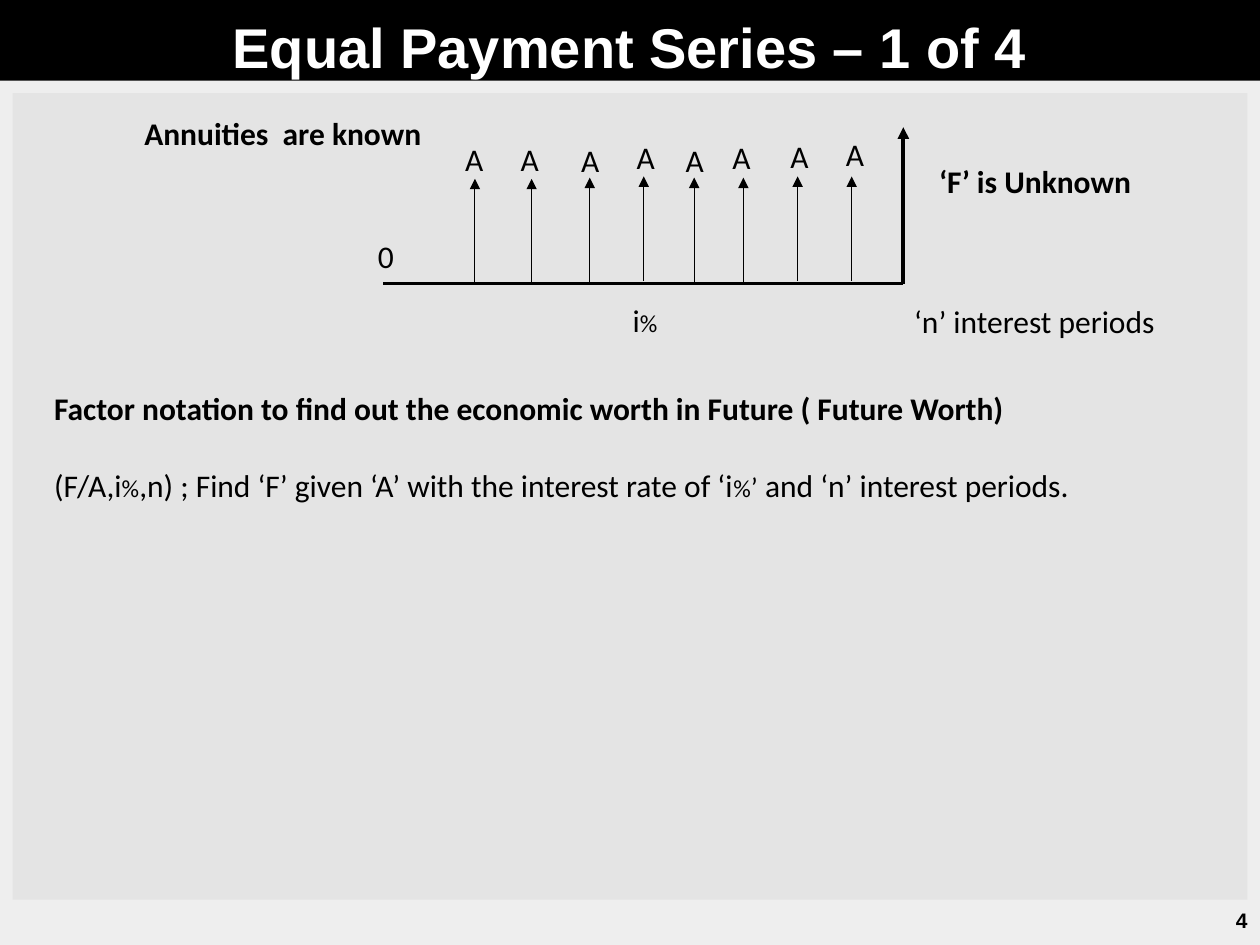
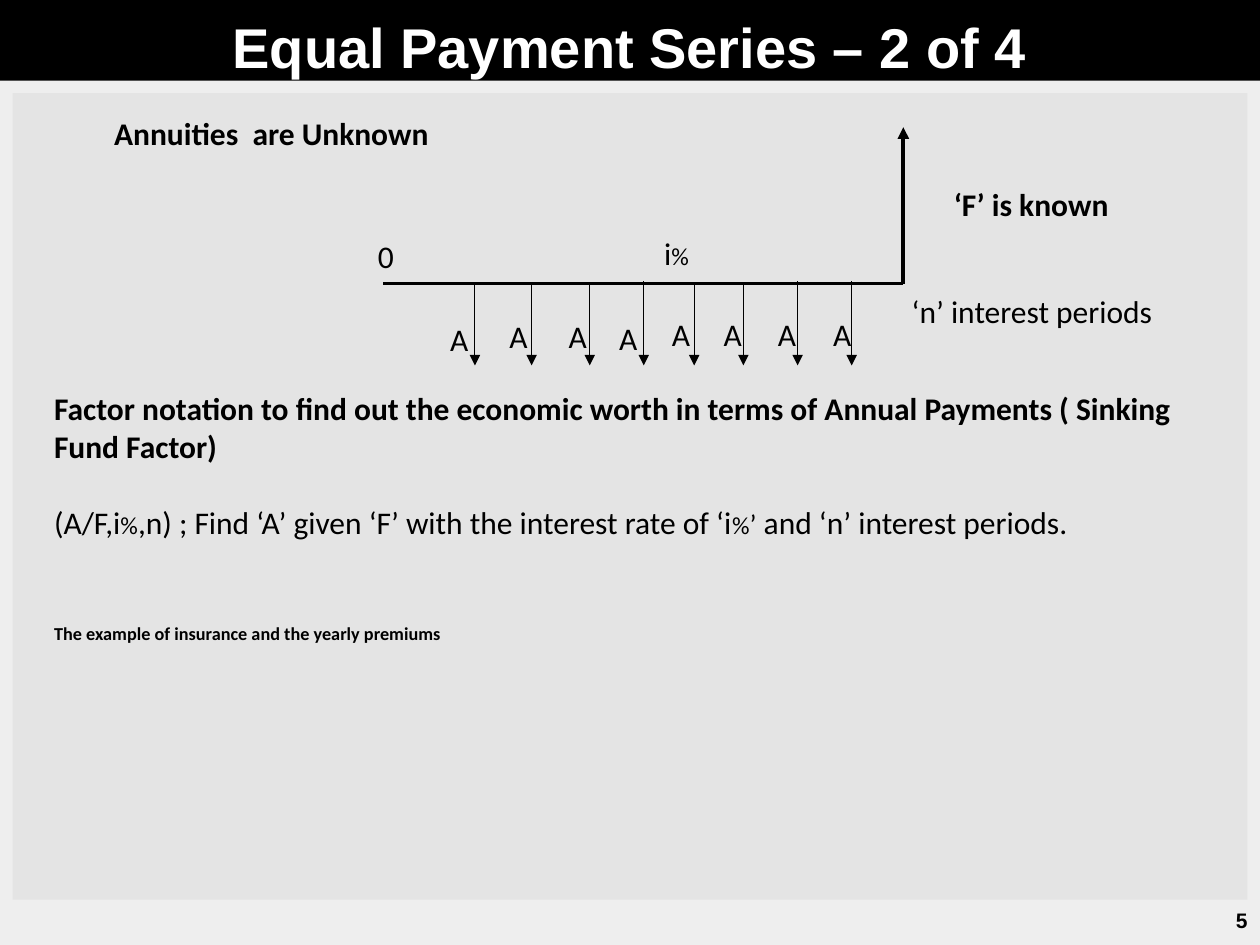
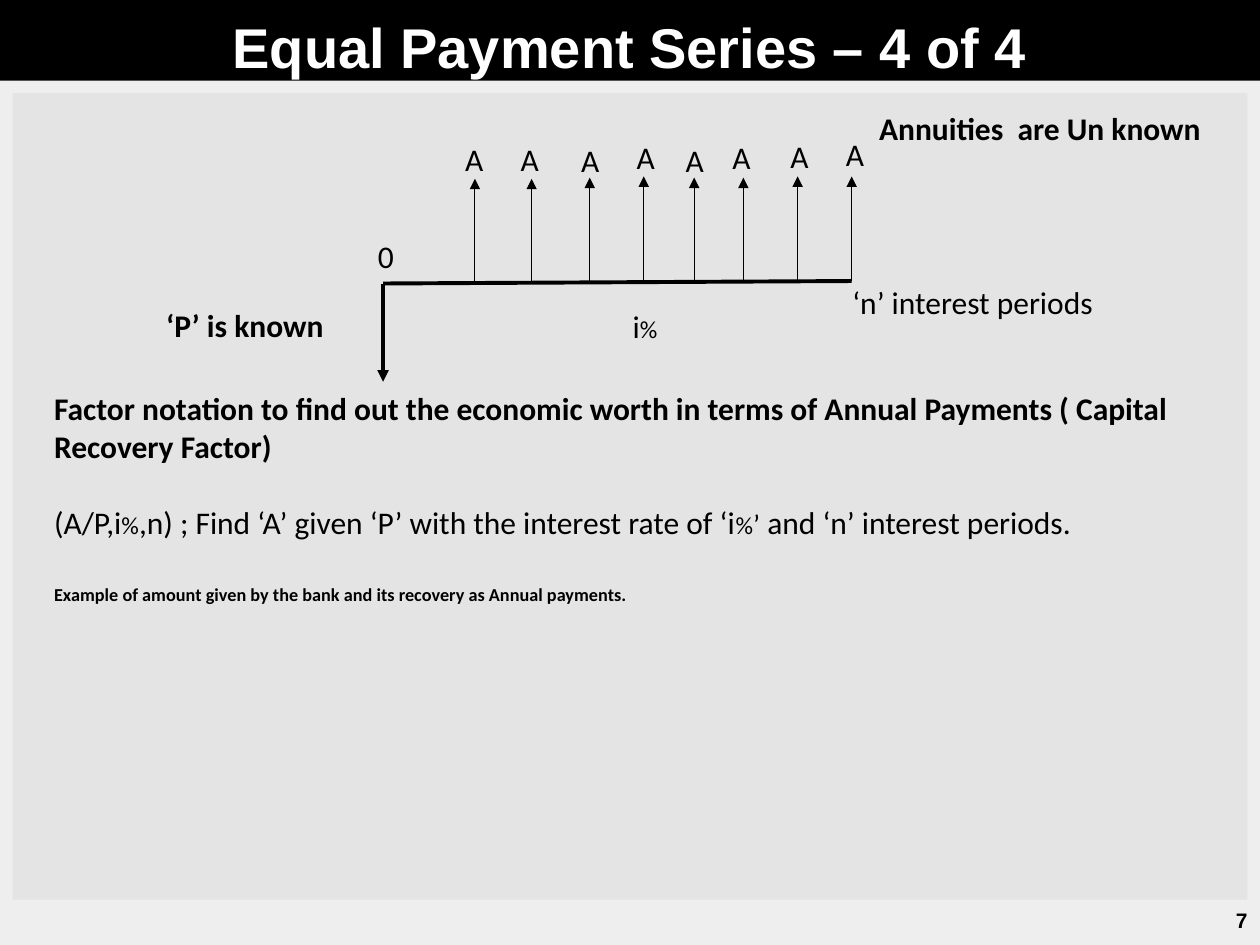
from lxml import etree
from pptx import Presentation
from pptx.dml.color import RGBColor
from pptx.enum.shapes import MSO_CONNECTOR, MSO_SHAPE
from pptx.enum.text import MSO_ANCHOR, MSO_AUTO_SIZE, PP_ALIGN
from pptx.oxml.ns import qn
from pptx.util import Pt

LEFT, CENTER, RIGHT = PP_ALIGN.LEFT, PP_ALIGN.CENTER, PP_ALIGN.RIGHT
TOP, MIDDLE = MSO_ANCHOR.TOP, MSO_ANCHOR.MIDDLE
GROW = MSO_AUTO_SIZE.SHAPE_TO_FIT_TEXT
RECT, STRAIGHT = MSO_SHAPE.RECTANGLE, MSO_CONNECTOR.STRAIGHT

COLORS = {"ink": "000000", "title": "FFFFFF", "band": "000000",
          "panel": "E4E4E4", "bg_left": "EEEEEE", "bg_right": "F0F0F0"}
BASE = {"name": "Calibri", "size": 18, "bold": False, "color": "ink"}
TITLE = {"name": "Arial", "size": 32, "bold": True, "color": "title"}
PAGE = {"name": "Arial", "size": 12, "bold": True}
BOLD = {"bold": True}
SMALL = {"size": 14}
RAISED = {"bold": True, "baseline": 30000}
RATE = [("i", {}), ("%", SMALL)]

LINE_GAP = 22
LABEL_H = 28.8
LABEL_W = 42.5
AXIS_X, AXIS_Y, AXIS_END = 218.9, 162, 516.2
RISE, DOWN_TIP = 59.8, 208.8
TICKS = [(271.4, 162), (303.8, 162), (337, 161.3), (367.9, 160.6),
         (396.7, 161.3), (424.8, 161.3), (455.8, 160.6), (486.7, 160.6)]
LABELS_UP = [(249.8, 76.3), (281.5, 76.3), (316.1, 77), (347.8, 75.6),
             (375.8, 77), (402.5, 75.6), (435.6, 74.9), (467.3, 73.4)]
LABELS_DOWN = [(241.2, 179.3), (275, 177.8), (308.9, 177.8), (337.7, 178.6),
               (367.9, 176.4), (397.4, 176.4), (428.4, 176.4), (460.1, 176.4)]

SERIES = [
    {"number": 1, "page": "4", "up": True, "future": True,
     "captions": [("‘F’ is Unknown", 529.2, 89.3, 124.6),
                  ("Annuities  are known", 67, 61.9, 189.4)],
     "rate": (308.9, 168.5), "periods": (504, 169.2),
     "heading": "Factor notation to find out the economic worth in Future "
                "( Future Worth)",
     "find": "F", "given": "A", "example": None, "height": 72.7},
    {"number": 2, "page": "5", "up": False, "future": True,
     "captions": [("‘F’ is known", 527, 102.2, 124.6),
                  ("Annuities  are Unknown", 54, 61.9, 202.3)],
     "rate": (326.9, 130.3), "periods": (502.6, 163.4),
     "heading": "Factor notation to find out the economic worth in terms of "
                "Annual Payments ( Sinking Fund Factor)",
     "find": "A", "given": "F", "height": 145.4,
     "example": (2 * LINE_GAP,
                 "The example of insurance and the yearly premiums")},
    {"number": 4, "page": "7", "up": True, "future": False,
     "captions": [("‘P’ is known", 69.1, 171.4, 141.8),
                  ("Annuities  are Un known", 489.6, 59, 209.5)],
     "rate": (308.9, 172.1), "periods": (468.7, 158.4),
     "heading": "Factor notation to find out the economic worth in terms of "
                "Annual Payments ( Capital Recovery Factor)",
     "find": "A", "given": "P", "height": 131,
     "example": (LINE_GAP, "Example of amount given by the bank and its "
                           "recovery as Annual payments.")},
]


def rgb(key):
    """Return the colour stored under a key."""
    return RGBColor.from_string(COLORS[key])


def add_run(p, text, fmt):
    """Add a run formatted by the base values and the given changes."""
    values = {**BASE, **fmt}
    r = p.add_run()
    r.text = text
    r.font.color.rgb = rgb(values["color"])
    for key, value in (("name", values["name"]), ("size", Pt(values["size"])),
                       ("bold", values["bold"])):
        setattr(r.font, key, value)
    if "baseline" in values:
        r.font._element.set("baseline", str(values["baseline"]))


def fill_text(tf, paragraphs, align):
    """Write (space before, runs) paragraphs into a text frame."""
    for i, (gap, runs) in enumerate(paragraphs):
        p = tf.add_paragraph() if i else tf.paragraphs[0]
        p.alignment = align
        if gap:
            p.space_before = Pt(gap)
        for text, fmt in runs:
            add_run(p, text, fmt)


def add_text(s, box, paragraphs, align=CENTER, **frame):
    """Add a wrapping text box that grows with its text."""
    tf = s.shapes.add_textbox(*map(Pt, box)).text_frame
    settings = {"word_wrap": True, "auto_size": GROW,
                "vertical_anchor": TOP, **frame}
    for key, value in settings.items():
        setattr(tf, key, value)
    fill_text(tf, paragraphs, align)


def add_label(s, text, x, y, w, fmt=None, align=CENTER):
    """Add a one-line label in a single format."""
    add_text(s, (x, y, w, LABEL_H), [(0, [(text, fmt or {})])], align)


def add_block(s, box, color):
    """Add a plain filled rectangle."""
    sp = s.shapes.add_shape(RECT, *map(Pt, box))
    sp.shadow.inherit = False
    sp.fill.solid()
    sp.fill.fore_color.rgb = rgb(color)
    sp.line.fill.background()
    return sp


def add_line(s, start, end, width, arrow=True):
    """Add a straight line, with an arrowhead at its end if wanted."""
    cx = s.shapes.add_connector(STRAIGHT, *map(Pt, (*start, *end)))
    cx.line.color.rgb = rgb("ink")
    cx.line.width = Pt(width)
    if arrow:
        etree.SubElement(cx.line._get_or_add_ln(), qn("a:tailEnd"),
                         type="triangle")
    etree.SubElement(cx._element.spPr, qn("a:effectLst"))


def add_frame(s, title, page):
    """Add the background, panel, title band and page number."""
    fill = s.background.fill
    fill.gradient()
    fill.gradient_angle = 0
    stops = zip(fill.gradient_stops, ((0, "bg_left"), (0.59, "bg_right")))
    for stop, (position, color) in stops:
        stop.position = position
        stop.color.rgb = rgb(color)
    add_block(s, (7.2, 53.3, 705.6, 460.8), "panel")
    tf = add_block(s, (0, 0, 720, 46.1), "band").text_frame
    for key, value in {"word_wrap": True, "vertical_anchor": TOP,
                       "margin_top": Pt(7), "margin_bottom": 0}.items():
        setattr(tf, key, value)
    fill_text(tf, [(0, [(title, TITLE)])], CENTER)
    add_text(s, (558, 511.2, 162, LABEL_H), [(0, [(page, PAGE)])], RIGHT,
             vertical_anchor=MIDDLE, auto_size=MSO_AUTO_SIZE.NONE)


def add_cash_flow(s, up, future):
    """Draw the time axis, the single amount and the annuity arrows."""
    origin = (AXIS_X, AXIS_Y)
    end = (AXIS_END, AXIS_Y) if future else TICKS[-1]
    add_line(s, origin, end, 2.25, arrow=False)
    if future:
        add_line(s, end, (AXIS_END, 72.7), 2.25)
    else:
        add_line(s, origin, (AXIS_X, 218.2), 2.25)
    for x, y in TICKS:
        add_line(s, (x, y), (x, y - RISE if up else DOWN_TIP), 0.5)
    for x, y in LABELS_UP if up else LABELS_DOWN:
        add_label(s, "A", x, y, LABEL_W)
    add_label(s, "0", 208.8, 131.8, 37.4, align=LEFT)


def add_notation(s, heading, find, given, example, height):
    """Add the factor heading, its notation and an optional example."""
    formula = [(f"({find}/{given},i", {}), ("%", SMALL),
               (f",n) ; Find ‘{find}’ given ‘{given}’ with the interest "
                "rate of ‘i", {}),
               ("%", SMALL), ("’", {"size": 16}),
               (" and ‘n’ interest periods.", {})]
    paragraphs = [(0, [(heading, BOLD)]), (LINE_GAP, formula)]
    if example:
        gap, text = example
        paragraphs.append((gap, [(text, RAISED)]))
    add_text(s, (23.8, 218.9, 673.2, height), paragraphs, LEFT)


def main():
    """Build the slides and save the file."""
    prs = Presentation()
    prs.slide_width, prs.slide_height = Pt(720), Pt(540)
    for d in SERIES:
        s = prs.slides.add_slide(prs.slide_layouts[6])
        add_frame(s, f"Equal Payment Series – {d['number']} of 4", d["page"])
        add_cash_flow(s, d["up"], d["future"])
        for caption in d["captions"]:
            add_label(s, *caption, BOLD)
        add_text(s, (*d["rate"], 119.5, LABEL_H), [(0, RATE)])
        add_label(s, "‘n’ interest periods", *d["periods"], 174.2)
        add_notation(s, d["heading"], d["find"], d["given"], d["example"],
                     d["height"])
    prs.save("out.pptx")


if __name__ == "__main__":
    main()
